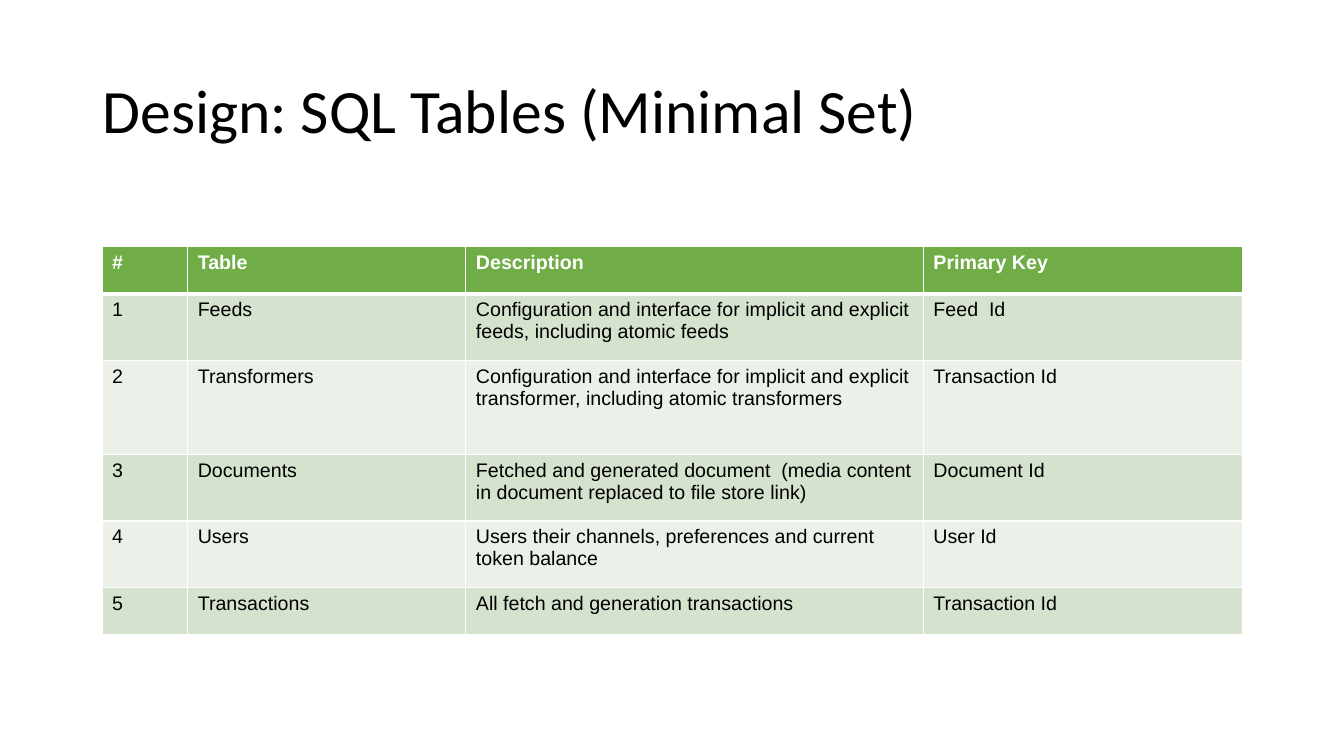
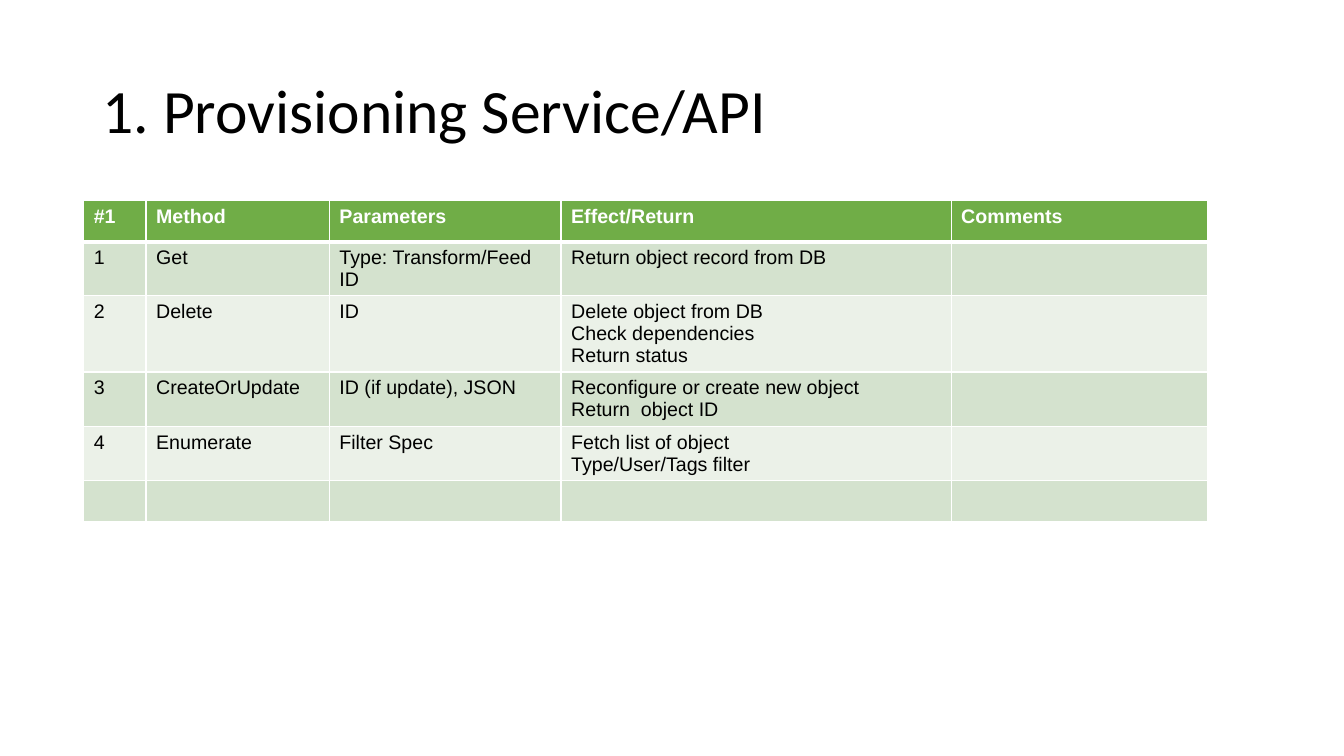
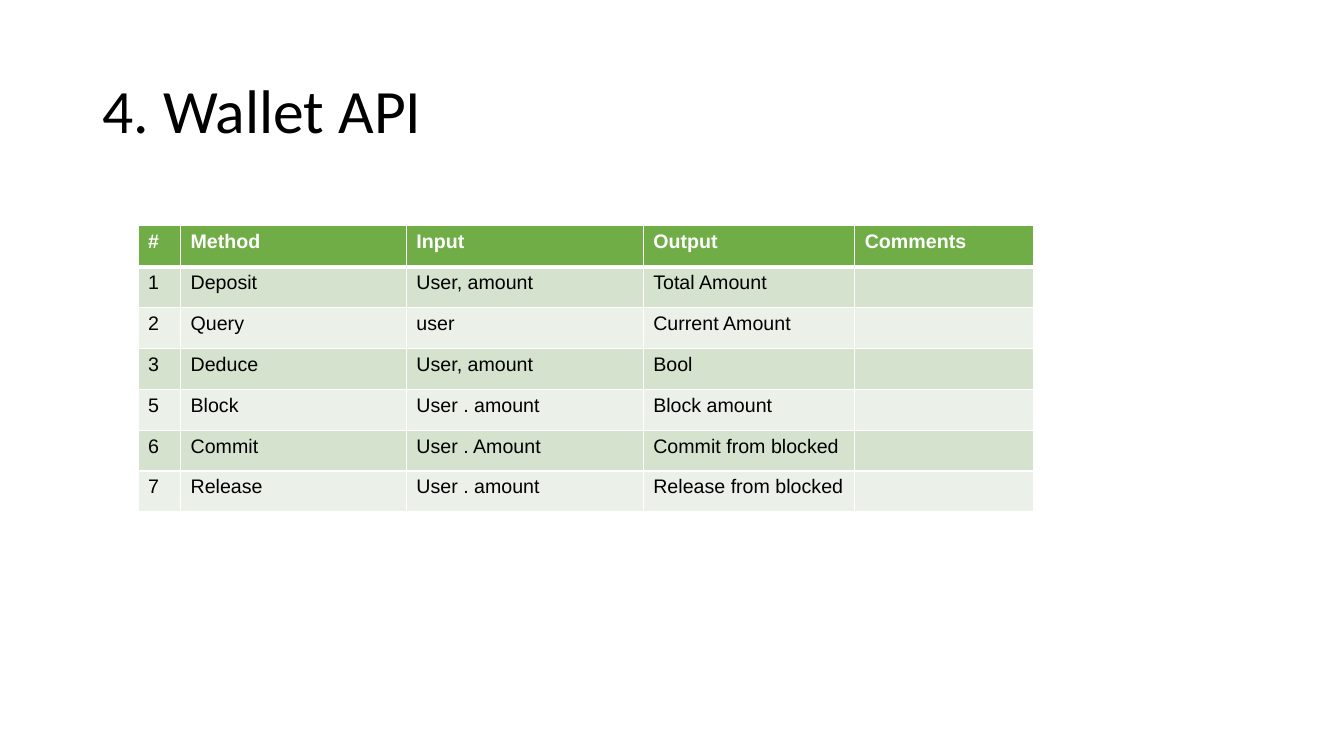
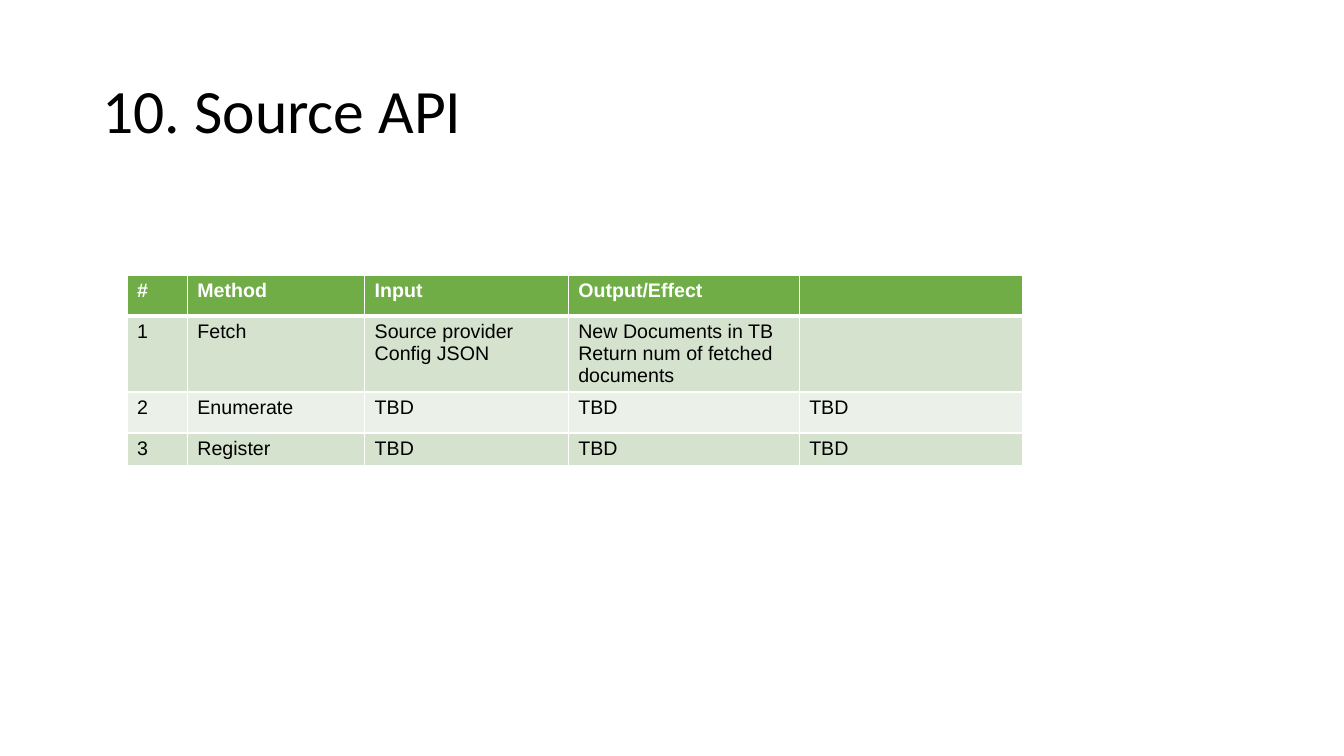
import pptx
import pptx.dml.color
import pptx.enum.text
import pptx.oxml.ns
import pptx.util
from lxml import etree

Cm = pptx.util.Cm
Pt = pptx.util.Pt
RGBColor = pptx.dml.color.RGBColor

# Shared style
BLACK = RGBColor(0x00, 0x00, 0x00)
WHITE = RGBColor(0xFF, 0xFF, 0xFF)
HEADER_GREEN = RGBColor(0x70, 0xAD, 0x47)
BAND_GREENS = [RGBColor(0xD4, 0xE2, 0xCE), RGBColor(0xEB, 0xF1, 0xE8)]
ROW_HEIGHT = 1.03

# Slide content: lengths in centimetres, first row is the header
SLIDES = [
    {
        "title": "Design: SQL Tables (Minimal Set)",
        "left": 2.57, "top": 6.22,
        "widths": [2.16, 7.01, 11.53, 8.05],
        "heights": [1.19, 1.68, 2.36, 1.68, 1.68, 1.19],
        "rows": [
            ["#", "Table", "Description", "Primary Key"],
            ["1", "Feeds", "Configuration and interface for implicit and explicit "
             "feeds, including atomic feeds", "Feed  Id"],
            ["2", "Transformers", "Configuration and interface for implicit and explicit "
             "transformer, including atomic transformers", "Transaction Id"],
            ["3", "Documents", "Fetched and generated document  (media content "
             "in document replaced to file store link)", "Document Id"],
            ["4", "Users", "Users their channels, preferences and current token balance",
             "User Id"],
            ["5", "Transactions", "All fetch and generation transactions", "Transaction Id"],
        ],
    },
    {
        "title": "1. Provisioning Service/API",
        "left": 2.11, "top": 5.06,
        "widths": [1.57, 4.62, 5.84, 9.83, 6.45],
        "heights": [ROW_HEIGHT] * 6,
        "rows": [
            ["#1", "Method", "Parameters", "Effect/Return", "Comments"],
            ["1", "Get", "Type: Transform/Feed\nID", "Return object record from DB", ""],
            ["2", "Delete", "ID",
             "Delete object from DB\nCheck dependencies\nReturn status", ""],
            ["3", "CreateOrUpdate", "ID (if update), JSON",
             "Reconfigure or create new object\nReturn  object ID", ""],
            ["4", "Enumerate", "Filter Spec",
             "Fetch list of object\nType/User/Tags filter", ""],
            [""] * 5,
        ],
    },
    {
        "title": "4. Wallet API",
        "left": 3.48, "top": 5.69,
        "widths": [1.07, 5.69, 5.97, 5.33, 4.52],
        "heights": [ROW_HEIGHT] * 7,
        "rows": [
            ["#", "Method", "Input", "Output", "Comments"],
            ["1", "Deposit", "User, amount", "Total Amount", ""],
            ["2", "Query", "user", "Current Amount", ""],
            ["3", "Deduce", "User, amount", "Bool", ""],
            ["5", "Block", "User . amount", "Block amount", ""],
            ["6", "Commit", "User . Amount", "Commit from blocked", ""],
            ["7", "Release", "User . amount", "Release from blocked", ""],
        ],
    },
    {
        "title": "10. Source API",
        "left": 3.2, "top": 6.93,
        "widths": [1.52, 4.47, 5.13, 5.82, 5.64],
        "heights": [ROW_HEIGHT] * 3 + [0.77],
        "rows": [
            ["#", "Method", "Input", "Output/Effect", ""],
            ["1", "Fetch", "Source provider\nConfig JSON",
             "New Documents in TB\nReturn num of fetched documents", ""],
            ["2", "Enumerate", "TBD", "TBD", "TBD"],
            ["3", "Register", "TBD", "TBD", "TBD"],
        ],
    },
]


def set_font(paragraph, name, size, color, bold=False):
    font = paragraph.font
    font.name = name
    font.size = Pt(size)
    font.bold = bold
    font.color.rgb = color


def add_borders(cell, top, bottom):
    """Draw white cell borders; call before filling the cell."""
    properties = cell._tc.get_or_add_tcPr()
    qn = pptx.oxml.ns.qn
    for side, width in (("L", 1), ("R", 1), ("T", top), ("B", bottom)):
        line = etree.SubElement(properties, qn("a:ln" + side), w=str(Pt(width)))
        fill = etree.SubElement(line, qn("a:solidFill"))
        etree.SubElement(fill, qn("a:srgbClr"), val=str(WHITE))


deck = pptx.Presentation()
deck.slide_width = Cm(33.87)
deck.slide_height = Cm(19.05)
title_only = deck.slide_layouts[5]

for content in SLIDES:
    page = deck.slides.add_slide(title_only)

    # Title
    title = page.shapes.title
    title.left, title.top = Cm(2.33), Cm(1.01)
    title.width, title.height = Cm(29.21), Cm(3.68)
    title.text_frame.text = content["title"]
    title.text_frame.auto_size = pptx.enum.text.MSO_AUTO_SIZE.NONE
    title.text_frame.vertical_anchor = pptx.enum.text.MSO_ANCHOR.MIDDLE
    heading = title.text_frame.paragraphs[0]
    heading.alignment = pptx.enum.text.PP_ALIGN.LEFT
    heading.line_spacing = 0.9
    set_font(heading, "Calibri", 44, BLACK)

    # Table grid
    rows, widths, heights = content["rows"], content["widths"], content["heights"]
    table = page.shapes.add_table(
        len(rows), len(widths), Cm(content["left"]), Cm(content["top"]),
        Cm(sum(widths)), Cm(sum(heights))).table
    for column, width in zip(table.columns, widths):
        column.width = Cm(width)
    for row, height in zip(table.rows, heights):
        row.height = Cm(height)

    # Table cells
    for row_index, texts in enumerate(rows):
        is_header = row_index == 0
        for column_index, text in enumerate(texts):
            cell = table.cell(row_index, column_index)
            cell.text = text
            add_borders(cell, top=3 if row_index == 1 else 1, bottom=3 if is_header else 1)
            cell.fill.solid()
            cell.fill.fore_color.rgb = (
                HEADER_GREEN if is_header else BAND_GREENS[(row_index - 1) % 2])
            for paragraph in cell.text_frame.paragraphs:
                set_font(paragraph, "Arial", 14, WHITE if is_header else BLACK, is_header)

deck.save("out.pptx")
